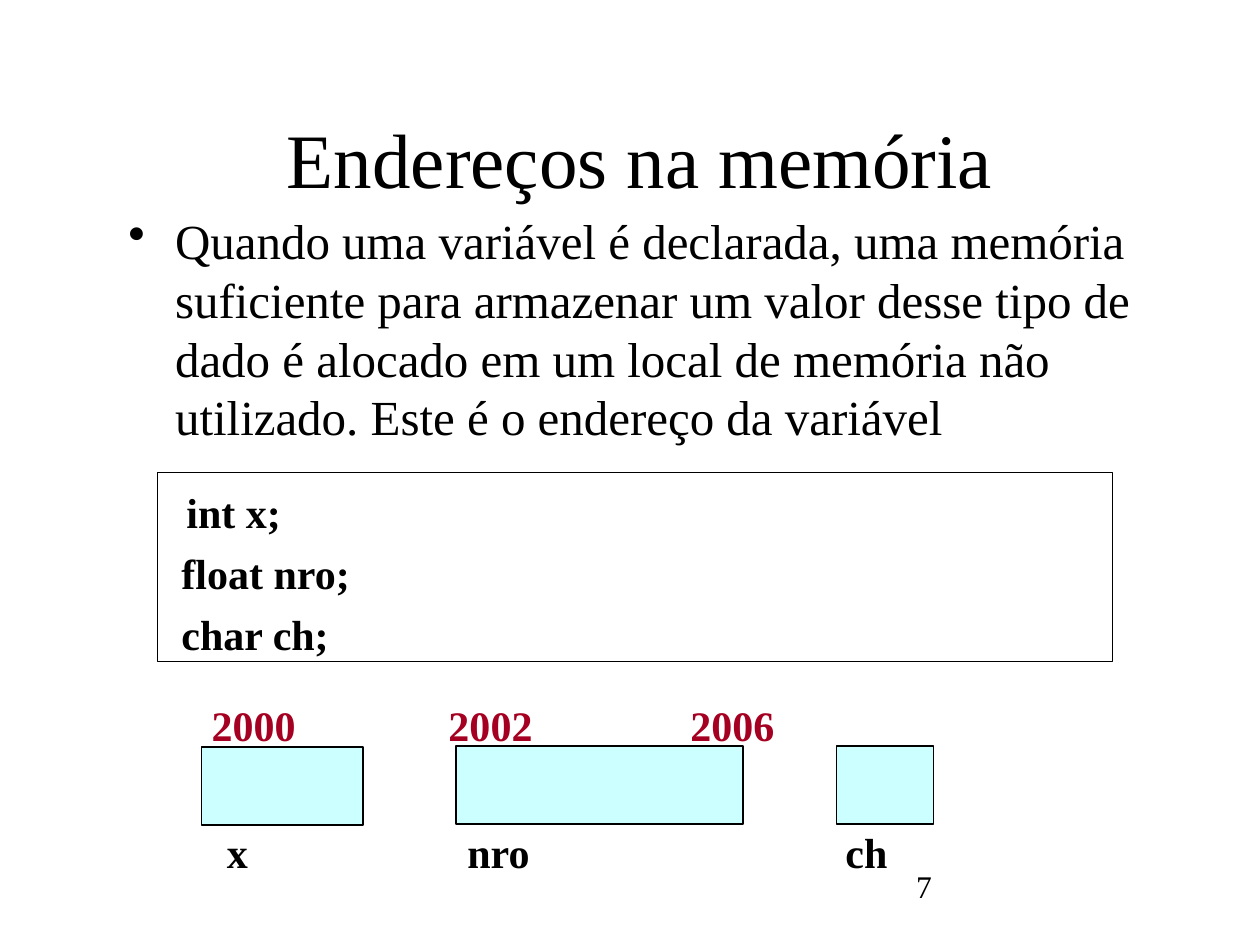
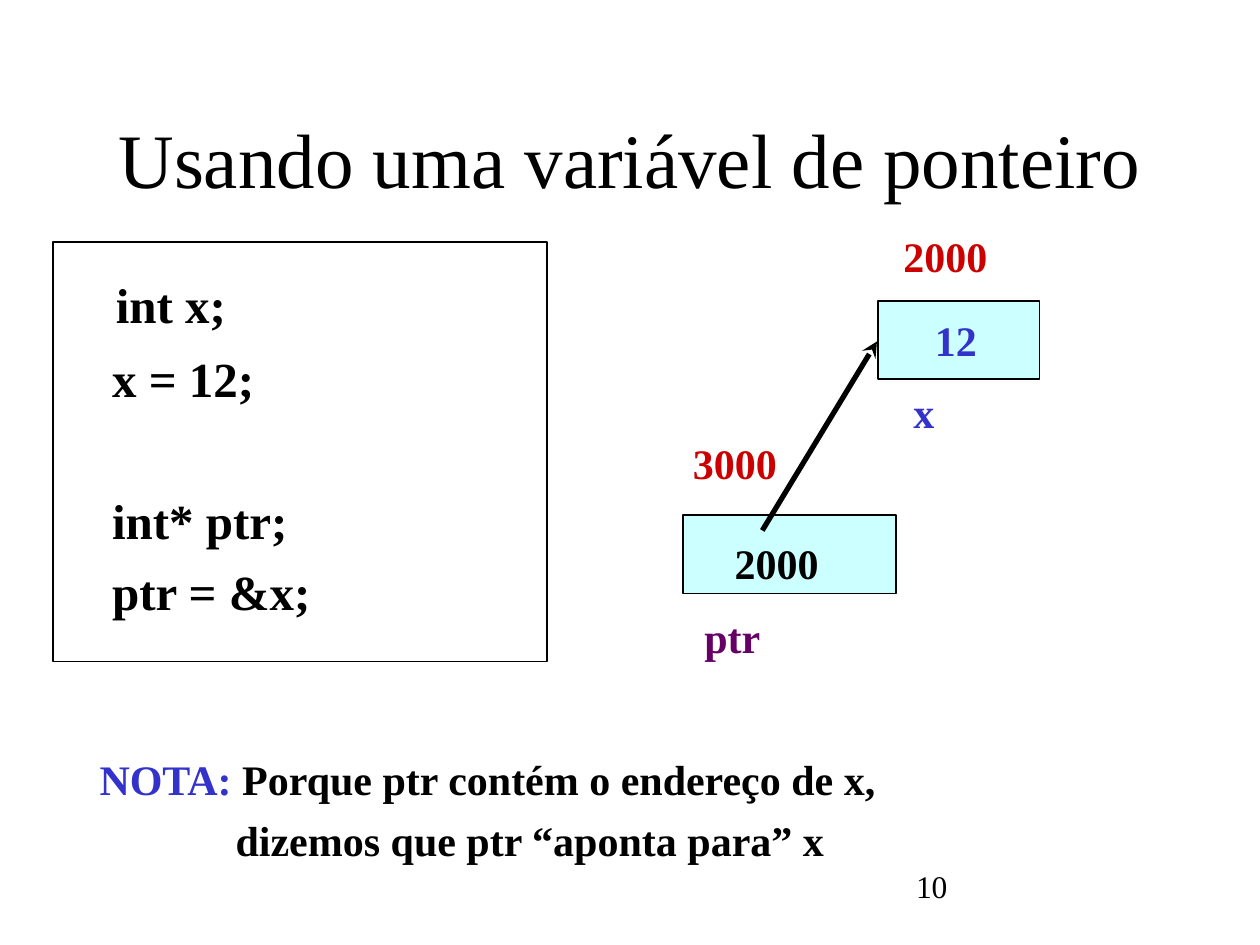
from dataclasses import dataclass

from lxml import etree
from pptx import Presentation
from pptx.dml.color import RGBColor
from pptx.enum.shapes import MSO_CONNECTOR, MSO_SHAPE
from pptx.enum.text import MSO_ANCHOR, PP_ALIGN
from pptx.oxml.ns import qn
from pptx.slide import Slide
from pptx.util import Inches, Pt

RECTANGLE = MSO_SHAPE.RECTANGLE
STRAIGHT = MSO_CONNECTOR.STRAIGHT
TOP, BOTTOM = MSO_ANCHOR.TOP, MSO_ANCHOR.BOTTOM
LEFT, CENTER = PP_ALIGN.LEFT, PP_ALIGN.CENTER

BLACK = RGBColor(0x00, 0x00, 0x00)
WHITE = RGBColor(0xFF, 0xFF, 0xFF)
CELL_CYAN = RGBColor(0xCC, 0xFF, 0xFF)
DARK_RED = RGBColor(0xA5, 0x00, 0x21)
RED = RGBColor(0xCC, 0x00, 0x00)
BLUE = RGBColor(0x33, 0x33, 0xCC)
PURPLE = RGBColor(0x66, 0x00, 0x66)

FONT = "Times New Roman"
TITLE_SIZE, BODY_SIZE, LABEL_SIZE, NUMBER_SIZE = 44, 28, 24, 18
CELL_HEIGHT = 0.62
LABEL_HEIGHT = 0.4


@dataclass(frozen=True)
class Box:
    """A place on the page, in inches."""
    left: float
    top: float
    width: float
    height: float

    def lengths(self) -> tuple:
        return tuple(Inches(n) for n in (self.left, self.top, self.width, self.height))


@dataclass(frozen=True)
class Span:
    text: str
    color: RGBColor = BLACK


@dataclass(frozen=True)
class Line:
    """One paragraph: spans, left indent in inches, space before in points."""
    spans: tuple[Span, ...]
    indent: float = 0
    before: float = 0


@dataclass(frozen=True)
class Label:
    text: str
    left: float
    top: float
    color: RGBColor = BLACK


def add_text(page: Slide, box: Box, lines: list[Line], size: float, bold: bool = False,
             align=LEFT, anchor=TOP):
    frame = page.shapes.add_textbox(*box.lengths()).text_frame
    frame.word_wrap = True
    frame.vertical_anchor = anchor
    frame.margin_left = frame.margin_right = frame.margin_top = frame.margin_bottom = 0
    for index, line in enumerate(lines):
        para = frame.paragraphs[0] if index == 0 else frame.add_paragraph()
        para.alignment = align
        para.space_before = Pt(line.before)
        if line.indent:
            para._p.get_or_add_pPr().set("marL", str(Inches(line.indent)))
        for span in line.spans:
            run = para.add_run()
            run.text = span.text
            run.font.name = FONT
            run.font.size = Pt(size)
            run.font.bold = bold
            run.font.color.rgb = span.color
    return frame


def plain(text: str, indent: float = 0, before: float = 0) -> Line:
    return Line((Span(text),), indent, before)


def add_labels(page: Slide, labels: list[Label]) -> None:
    for label in labels:
        add_text(page, Box(label.left, label.top, 1, LABEL_HEIGHT),
                 [Line((Span(label.text, label.color),))], LABEL_SIZE, bold=True)


def add_rectangle(page: Slide, box: Box, fill: RGBColor) -> None:
    shape = page.shapes.add_shape(RECTANGLE, *box.lengths())
    shape.shadow.inherit = False
    shape.fill.solid()
    shape.fill.fore_color.rgb = fill
    shape.line.color.rgb = BLACK
    shape.line.width = Pt(1)


def add_cell(page: Slide, left: float, top: float, width: float) -> None:
    """Draw one memory cell."""
    add_rectangle(page, Box(left, top, width, CELL_HEIGHT), CELL_CYAN)


def add_pointer_arrow(page: Slide, start: tuple[float, float], end: tuple[float, float]) -> None:
    arrow = page.shapes.add_connector(STRAIGHT, *(Inches(n) for n in start + end))
    arrow.line.color.rgb = BLACK
    arrow.line.width = Pt(3)
    etree.SubElement(arrow.line._get_or_add_ln(), qn("a:tailEnd"), type="stealth")
    etree.SubElement(arrow._element.spPr, qn("a:effectLst"))


def add_bullet(para, hanging: float) -> None:
    properties = para._p.get_or_add_pPr()
    properties.set("marL", str(Inches(hanging)))
    properties.set("indent", str(-Inches(hanging)))
    etree.SubElement(properties, qn("a:buChar"), char="•")


def add_page(deck, title: str, title_left: float, number: int) -> Slide:
    page = deck.slides.add_slide(deck.slide_layouts[6])
    add_text(page, Box(7.27, 6.88, 1.88, 0.4), [plain(str(number))], NUMBER_SIZE)
    add_text(page, Box(title_left, 0.47, 8.3, 1.15), [plain(title)], TITLE_SIZE,
             align=CENTER, anchor=BOTTOM)
    return page


def build_addresses(deck) -> None:
    page = add_page(deck, "Endereços na memória", 0.93, 7)
    add_rectangle(page, Box(1.25, 3.75, 7.58, 1.5), WHITE)
    frame = add_text(page, Box(1.02, 1.67, 8.47, 1.9), [plain(
        "Quando uma variável é declarada, uma memória suficiente para armazenar um valor "
        "desse tipo de dado é alocado em um local de memória não utilizado. "
        "Este é o endereço da variável")], BODY_SIZE)
    add_bullet(frame.paragraphs[0], 0.37)
    add_text(page, Box(1.44, 3.86, 7.2, 1.37),
             [plain("int x;", indent=0.04), plain("float nro;", before=6),
              plain("char ch;", before=6)], LABEL_SIZE, bold=True)
    address_top, name_top = 5.55, 6.56
    add_labels(page, [Label(text, left, address_top, DARK_RED) for text, left in
                      (("2000", 1.68), ("2002", 3.56), ("2006", 5.48))])
    for left, top, width in ((1.6, 5.93, 1.28), (3.62, 5.92, 2.28), (6.64, 5.92, 0.77)):
        add_cell(page, left, top, width)
    add_labels(page, [Label(text, left, name_top) for text, left in
                      (("x", 1.8), ("nro", 3.71), ("ch", 6.71))])


def build_pointer(deck) -> None:
    page = add_page(deck, "Usando uma variável de ponteiro", 0.85, 10)
    add_rectangle(page, Box(0.42, 1.92, 3.92, 3.33), WHITE)
    add_text(page, Box(0.89, 2.18, 3.3, 2.75),
             [plain("int x;", indent=0.03), plain("x = 12;", before=8.7),
              plain("int* ptr;", before=47.6), plain("ptr = &x;", before=7)],
             BODY_SIZE, bold=True)
    add_text(page, Box(0.79, 5.98, 8.4, 0.9),
             [Line((Span("NOTA: ", BLUE), Span("Porque ptr contém o endereço de x,"))),
              plain("dizemos que ptr “aponta para” x", indent=1.08, before=6)],
             LABEL_SIZE, bold=True)
    add_cell(page, 6.97, 2.39, 1.28)
    add_cell(page, 5.42, 4.09, 1.69)
    add_pointer_arrow(page, (6.05, 4.21), (6.96, 2.71))
    add_labels(page, [
        Label("2000", 7.17, 1.83, RED),
        Label("12", 7.42, 2.5, BLUE),
        Label("x", 7.25, 3.07, BLUE),
        Label("3000", 5.5, 3.47, RED),
        Label("2000", 5.83, 4.27),
        Label("ptr", 5.59, 4.85, PURPLE),
    ])


def main() -> None:
    deck = Presentation()
    deck.slide_width, deck.slide_height = Inches(10), Inches(7.5)
    build_addresses(deck)
    build_pointer(deck)
    deck.save("out.pptx")


if __name__ == "__main__":
    main()
